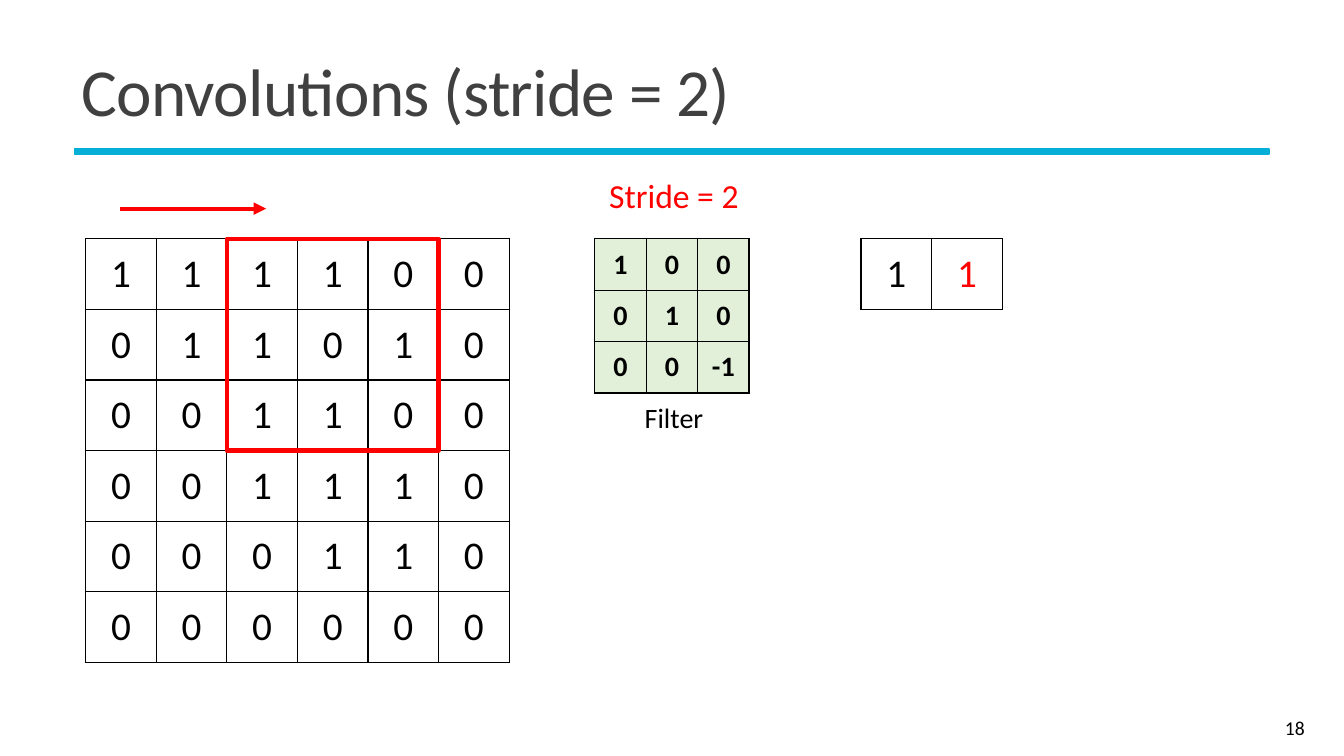
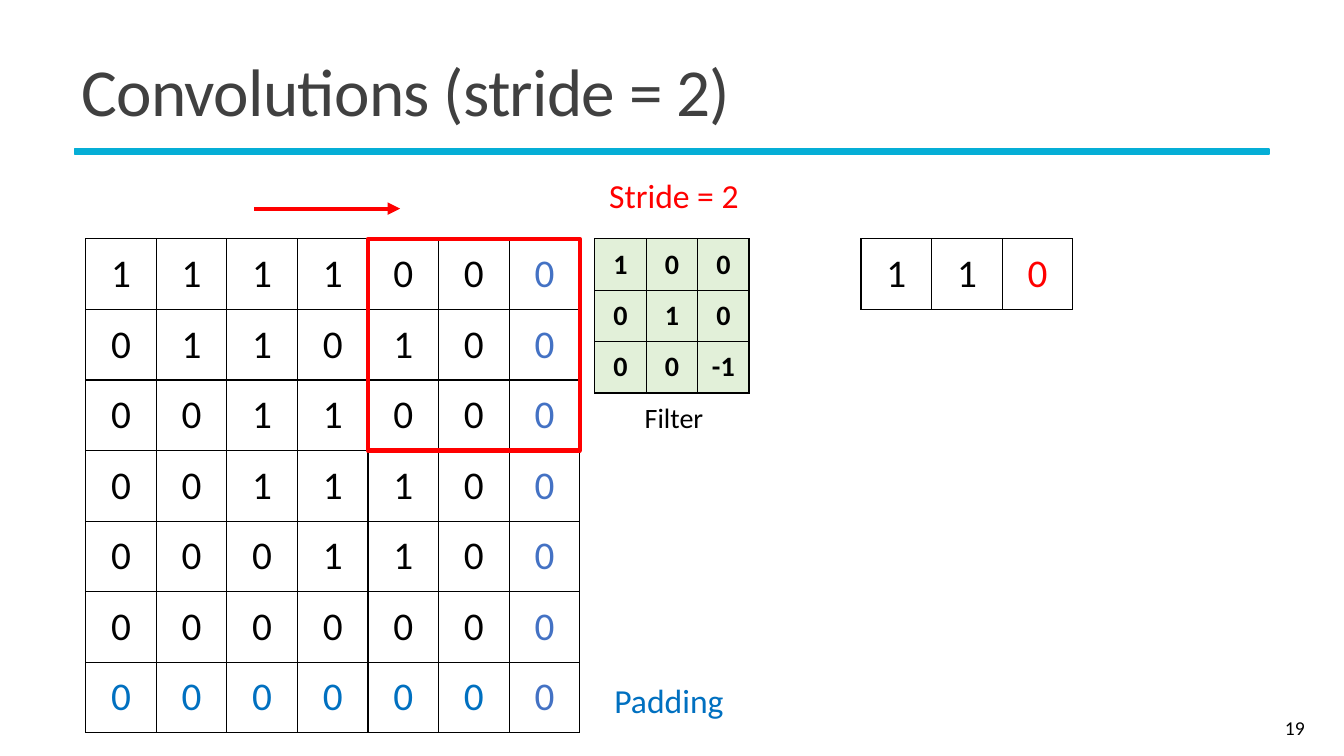
from dataclasses import dataclass

from lxml.etree import SubElement
from pptx import Presentation
from pptx.dml.color import RGBColor
from pptx.enum.shapes import MSO_CONNECTOR as Connector, MSO_SHAPE as Preset
from pptx.enum.text import MSO_ANCHOR as Anchor, MSO_AUTO_SIZE as AutoSize, PP_ALIGN as Align
from pptx.oxml.ns import qn
from pptx.slide import Slide
from pptx.util import Emu, Pt

EMU_PER_PX = 9144
FONT = "Calibri"
BLACK, RED, GREEN = "000000", "FF0000", "E2F0D9"
TITLE_GREY, RULE_CYAN = "404040", "05AED6"
ROW_BLUE, COLUMN_BLUE = "0070C0", "4472C4"
NO_STYLE = "{2D5ABB26-0587-4C30-8999-92F81FD0307C}"
GRID_LEFT, GRID_TOP, CELL, FILTER_CELL = 85, 237, 70, 51
FILTER_SIZE, RESULT_SIZE = 3, 4
IMAGE = ["111100", "011010", "001100", "001110", "000110", "000000"]
KERNEL = [["1", "0", "0"], ["0", "1", "0"], ["0", "0", "-1"]]


@dataclass(frozen=True)
class Label:
    """A text box with its place and format."""
    text: str
    left: int
    top: int
    width: int
    height: int
    size: int
    color: str = BLACK
    align: Align = Align.CENTER
    anchor: Anchor = Anchor.TOP
    fit: AutoSize = AutoSize.SHAPE_TO_FIT_TEXT
    line_spacing: float = 1.0
    tracking: int = 0


@dataclass(frozen=True)
class Entry:
    """A value in a grid and its colour."""
    text: str
    color: str = BLACK


@dataclass(frozen=True)
class Grid:
    """A table of square cells."""
    entries: list[list[Entry]]
    left: int
    cell: int
    size: int
    margins: tuple[int, int]
    bold: bool = False
    fill: str | None = None


@dataclass(frozen=True)
class Step:
    """One move of the filter over the image."""
    page_number: int
    window_column: int
    arrow_left: int
    results: str
    padded: bool


TITLE = Label("Convolutions (stride = 2)", 71, 39, 1194, 113, 48, TITLE_GREY, Align.LEFT,
              Anchor.MIDDLE, AutoSize.NONE, 0.85, -50)
STRIDE = Label("Stride = 2", 592, 169, 153, 50, 24, RED)
FILTER = Label("Filter", 592, 392, 153, 44, 20)
PADDING = Label("Padding", 592, 670, 143, 50, 24, ROW_BLUE)
STEPS = [Step(18, 2, 119, "11", False), Step(19, 4, 252, "110", True)]


def px(length: int) -> Emu:
    """Turn pixels into EMU."""
    return Emu(length * EMU_PER_PX)


def rgb(color: str) -> RGBColor:
    """Turn a hex string into a colour."""
    return RGBColor.from_string(color)


def apply(target: object, values: dict[str, object]) -> None:
    """Set every format value on the target."""
    for name, value in values.items():
        setattr(target, name, value)


def write(para, text: str, size: int, color: str, align: Align, bold: bool = False):
    """Write one formatted run and return it."""
    para.alignment = align
    span = para.add_run()
    span.text = text
    apply(span.font, {"name": FONT, "size": Pt(size), "bold": bold})
    span.font.color.rgb = rgb(color)
    return span


def add_label(page: Slide, label: Label) -> None:
    """Add a text box."""
    box = page.shapes.add_textbox(*map(px, (label.left, label.top, label.width, label.height)))
    apply(box.text_frame, {"word_wrap": True, "auto_size": label.fit,
                           "vertical_anchor": label.anchor})
    para = box.text_frame.paragraphs[0]
    para.line_spacing = label.line_spacing
    span = write(para, label.text, label.size, label.color, label.align)
    if label.tracking:
        span.font._element.set("spc", str(label.tracking))


def add_borders(cell) -> None:
    """Draw a thin black line on each side of a cell."""
    properties = cell._tc.get_or_add_tcPr()
    for side in ("a:lnL", "a:lnR", "a:lnT", "a:lnB"):
        line = SubElement(properties, qn(side), w=str(Pt(1)))
        fill = SubElement(line, qn("a:solidFill"))
        SubElement(fill, qn("a:srgbClr"), val=BLACK)


def add_grid(page: Slide, grid: Grid) -> None:
    """Add a table whose filled cells are bordered."""
    count = len(grid.entries)
    side = px(count * grid.cell)
    table = page.shapes.add_table(count, count, px(grid.left), px(GRID_TOP), side, side).table
    apply(table, {"first_row": False, "horz_banding": False})
    table._tbl.tblPr.find(qn("a:tableStyleId")).text = NO_STYLE
    for column in table.columns:
        column.width = px(grid.cell)
    for row in table.rows:
        row.height = px(grid.cell)
    across, down = map(px, grid.margins)
    for cell, entry in zip(table.iter_cells(), sum(grid.entries, [])):
        apply(cell, {"margin_left": across, "margin_right": across, "margin_top": down,
                     "margin_bottom": down, "vertical_anchor": Anchor.MIDDLE})
        if entry.text:
            add_borders(cell)
            write(cell.text_frame.paragraphs[0], entry.text, grid.size, entry.color,
                  Align.CENTER, grid.bold)
        if grid.fill:
            cell.fill.solid()
            cell.fill.fore_color.rgb = rgb(grid.fill)
        else:
            cell.fill.background()


def add_rectangle(page: Slide, left: int, top: int, width: int, height: int,
                  line: str, weight: float, fill: str | None = None) -> None:
    """Add an outlined rectangle."""
    box = page.shapes.add_shape(Preset.RECTANGLE, *map(px, (left, top, width, height)))
    box.shadow.inherit = False
    box.line.color.rgb = rgb(line)
    box.line.width = Pt(weight)
    if fill:
        box.fill.solid()
        box.fill.fore_color.rgb = rgb(fill)
    else:
        box.fill.background()


def add_arrow(page: Slide, left: int, top: int, length: int) -> None:
    """Add a red arrow pointing right."""
    arrow = page.shapes.add_connector(Connector.STRAIGHT, px(left), px(top),
                                      px(left + length), px(top))
    arrow.line.color.rgb = rgb(RED)
    arrow.line.width = Pt(3)
    properties = arrow._element.spPr
    SubElement(properties.find(qn("a:ln")), qn("a:tailEnd"), type="triangle")
    SubElement(properties, qn("a:effectLst"))


def image_entries(padded: bool) -> list[list[Entry]]:
    """Return the image values, with a zero column and row when padded."""
    entries = [[Entry(value) for value in row] for row in IMAGE]
    if padded:
        entries.append([Entry("0", ROW_BLUE) for _ in IMAGE[0]])
        for row in entries:
            row.append(Entry("0", COLUMN_BLUE))
    return entries


def result_entries(results: str) -> list[list[Entry]]:
    """Return the result values, the newest in red."""
    first = [Entry(value) for value in results[:-1]] + [Entry(results[-1], RED)]
    values = first + [Entry("")] * (RESULT_SIZE ** 2 - len(first))
    return [values[start:start + RESULT_SIZE] for start in range(0, len(values), RESULT_SIZE)]


def add_frame(page: Slide, page_number: int) -> None:
    """Add the rule, title and page number."""
    add_rectangle(page, 74, 148, 1185, 5, RULE_CYAN, 1.25, RULE_CYAN)
    add_label(page, TITLE)
    add_label(page, Label(str(page_number), 1161, 702, 143, 40, 14, align=Align.RIGHT,
                          anchor=Anchor.MIDDLE, fit=AutoSize.NONE))


def add_step(page: Slide, step: Step) -> None:
    """Draw one convolution step."""
    add_frame(page, step.page_number)
    kernel = [[Entry(value) for value in row] for row in KERNEL]
    add_grid(page, Grid(image_entries(step.padded), GRID_LEFT, CELL, 28, (9, 5)))
    add_grid(page, Grid(kernel, 590, FILTER_CELL, 20, (7, 3), True, GREEN))
    add_grid(page, Grid(result_entries(step.results), 854, CELL, 28, (9, 5)))
    window = FILTER_SIZE * CELL
    add_rectangle(page, GRID_LEFT + step.window_column * CELL, GRID_TOP, window, window, RED, 3)
    add_arrow(page, step.arrow_left, 207, 145)
    for label in [STRIDE, FILTER] + [PADDING] * step.padded:
        add_label(page, label)


def main() -> None:
    """Build and save the deck."""
    deck = Presentation()
    apply(deck, {"slide_width": px(1333), "slide_height": px(750)})
    for step in STEPS:
        add_step(deck.slides.add_slide(deck.slide_layouts[6]), step)
    deck.save("out.pptx")


if __name__ == "__main__":
    main()
